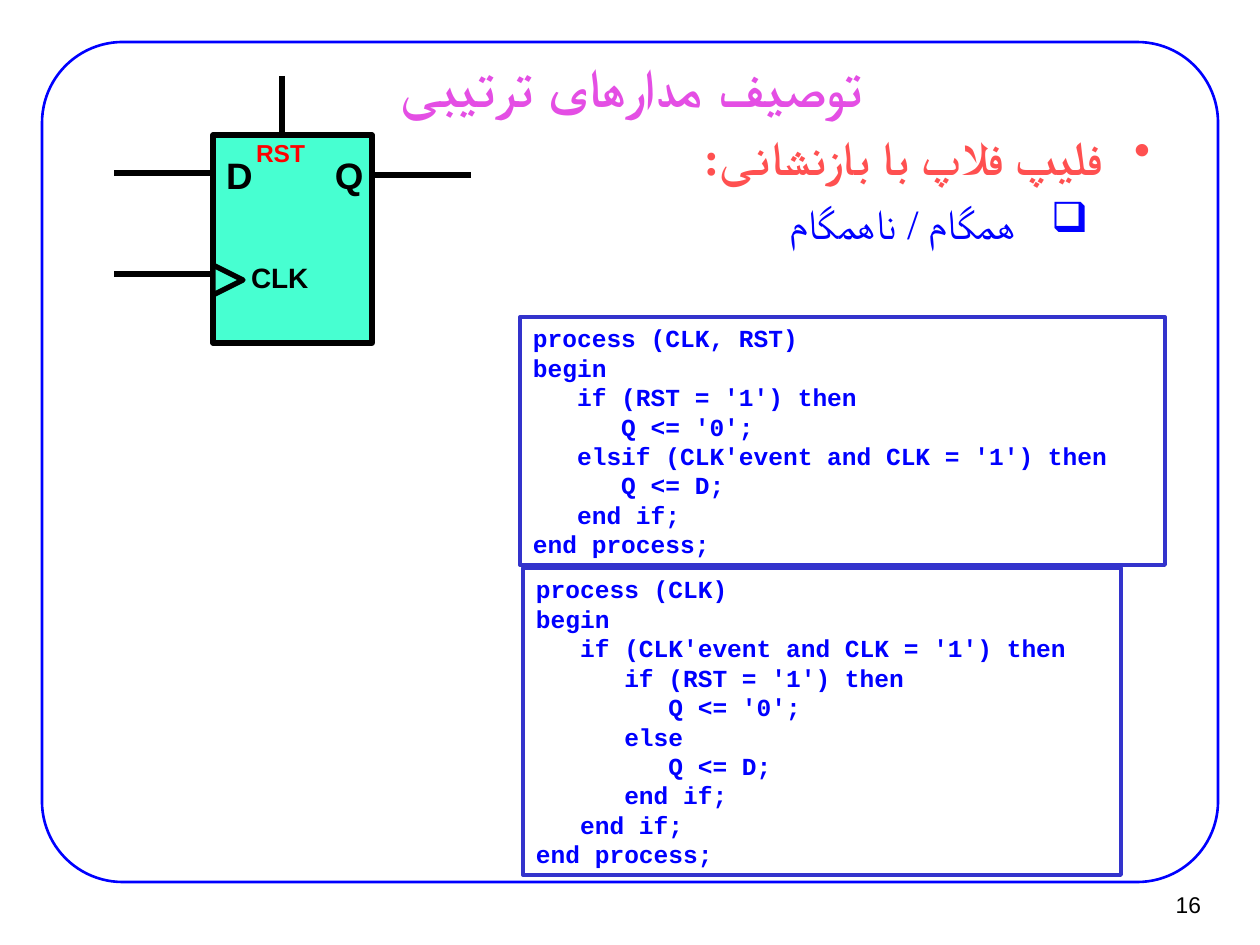
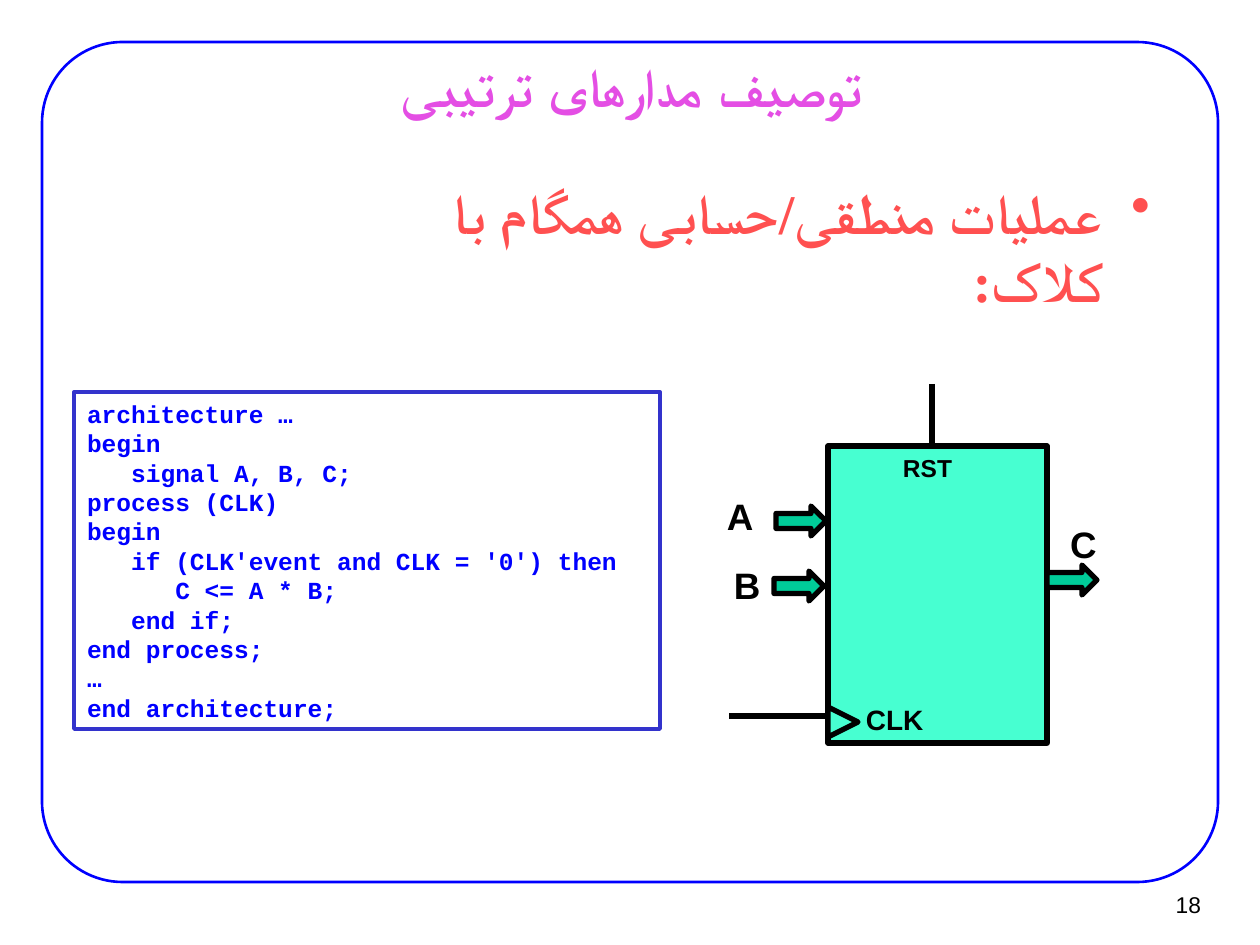
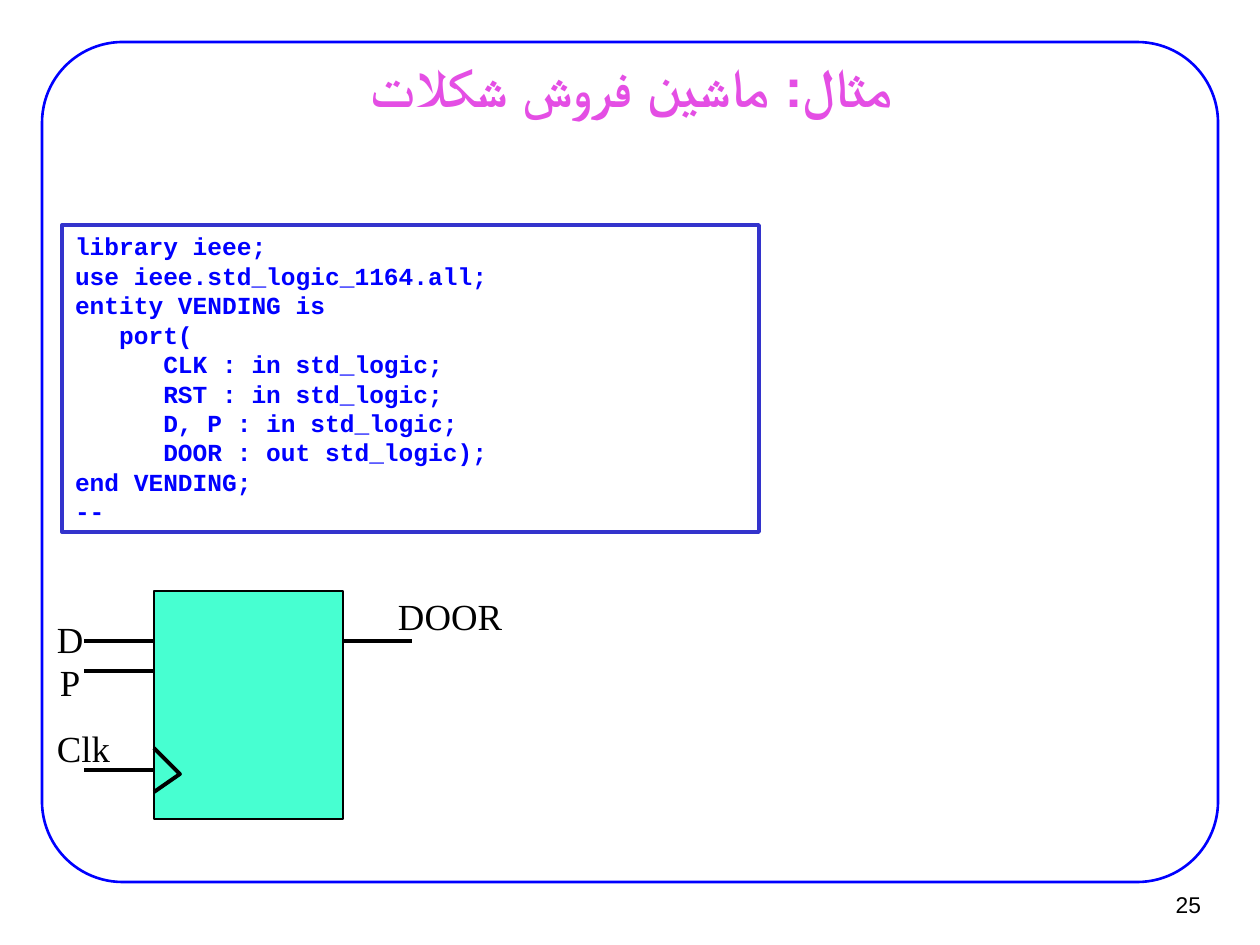
from lxml.etree import SubElement
from pptx import Presentation
from pptx.dml.color import RGBColor
from pptx.enum.shapes import MSO_CONNECTOR, MSO_SHAPE as SHAPE
from pptx.enum.text import MSO_ANCHOR as ANCHOR, MSO_AUTO_SIZE, PP_ALIGN as ALIGN
from pptx.oxml.ns import qn
from pptx.util import Emu, Pt

# Shared style
SCALE = 914400 / 126
BLACK = RGBColor(0x00, 0x00, 0x00)
WHITE = RGBColor(0xFF, 0xFF, 0xFF)
BLUE = RGBColor(0x00, 0x00, 0xFF)
RED = RGBColor(0xFF, 0x00, 0x00)
CORAL = RGBColor(0xFF, 0x50, 0x50)
PINK = RGBColor(0xE4, 0x4E, 0xE4)
INDIGO = RGBColor(0x33, 0x33, 0xCC)
AQUA = RGBColor(0x47, 0xFF, 0xD1)
GREEN = RGBColor(0x00, 0xCC, 0x99)
SANS, SERIF, MONO = "Arial", "Times New Roman", "Courier New"

SEQUENTIAL = "توصیف مدارهای ترتیبی"

ASYNC_RESET = """process (CLK, RST)
begin
   if (RST = '1') then
      Q <= '0';
   elsif (CLK'event and CLK = '1') then
      Q <= D;
   end if;
end process;"""

SYNC_RESET = """process (CLK)
begin
   if (CLK'event and CLK = '1') then
      if (RST = '1') then
         Q <= '0';
      else
         Q <= D;
      end if;
   end if;
end process;"""

MULTIPLIER = """architecture …
begin
   signal A, B, C;
process (CLK)
begin
   if (CLK'event and CLK = '0') then
      C <= A * B;
   end if;
end process;
…
end architecture;"""

VENDING = """library ieee;
use ieee.std_logic_1164.all;
entity VENDING is
   port(
      CLK : in std_logic;
      RST : in std_logic;
      D, P : in std_logic;
      DOOR : out std_logic);
end VENDING;
--"""


def px(length):
    return Emu(round(length * SCALE))


def apply(target, formats):
    for name, value in formats.items():
        setattr(target, name, value)


class Slides:
    """Holds the deck, its style and the current slide."""

    def __init__(self):
        self.deck = Presentation()
        apply(self.deck, {"slide_width": px(1260), "slide_height": px(945)})
        self.page = None

    def new_page(self, title, number):
        self.page = self.deck.slides.add_slide(self.deck.slide_layouts[6])
        frame = self.shape(SHAPE.ROUNDED_RECTANGLE, (42, 42, 1176, 840), None, BLUE, 1.5)
        frame.adjustments[0] = 0.096
        box = self.text_box((96, 55, 1071, 62), 14, 8, ANCHOR.MIDDLE)
        para = box.paragraphs[0]
        para.alignment = ALIGN.CENTER
        para._p.get_or_add_pPr().set("rtl", "1")
        self.span(para, title, 31, PINK, bold=True, complex_font=SANS)
        box = self.text_box((1136, 881, 77, 47), 12, 6, ANCHOR.MIDDLE)
        box.paragraphs[0].alignment = ALIGN.RIGHT
        self.span(box.paragraphs[0], str(number), 13, BLACK)

    def shape(self, kind, place, fill, line, width):
        shape = self.page.shapes.add_shape(kind, *map(px, place))
        self.outline(shape, fill, line, width)
        return shape

    def outline(self, shape, fill, line, width):
        shape.shadow.inherit = False
        if fill is None:
            shape.fill.background()
        else:
            shape.fill.solid()
            shape.fill.fore_color.rgb = fill
        shape.line.color.rgb = line
        shape.line.width = Pt(width)

    def frame_text(self, shape, side, top, anchor):
        box = shape.text_frame
        apply(box, {
            "word_wrap": True, "auto_size": MSO_AUTO_SIZE.NONE, "vertical_anchor": anchor,
            "margin_left": px(side), "margin_right": px(side),
            "margin_top": px(top), "margin_bottom": px(top),
        })
        return box

    def text_box(self, place, side=13, top=6, anchor=ANCHOR.TOP):
        return self.frame_text(self.page.shapes.add_textbox(*map(px, place)), side, top, anchor)

    def span(self, para, text, size, color, font=SANS, bold=False, complex_font=None):
        span = para.add_run()
        span.text = text
        apply(span.font, {"name": font, "size": Pt(size), "bold": bold})
        span.font.color.rgb = color
        if complex_font:
            SubElement(span._r.get_or_add_rPr(), qn("a:cs")).set("typeface", complex_font)

    def label(self, text, place, size=21, color=BLACK, font=SANS, bold=True):
        box = self.text_box(place)
        self.span(box.paragraphs[0], text, size, color, font, bold)

    def bullets(self, place, items):
        """Right-to-left list; an item is text, size, colour, bold, level."""
        box = self.text_box(place, 14, 8)
        levels = [("•", 48, 48), ("❑", 136, 73)]
        for index, (text, size, color, bold, level) in enumerate(items):
            para = box.add_paragraph() if index else box.paragraphs[0]
            mark, margin, hanging = levels[level]
            apply(para, {"alignment": ALIGN.RIGHT, "level": level})
            if index:
                para.space_before = Pt(7)
            props = para._p.get_or_add_pPr()
            for name, value in {"marL": px(margin), "indent": -px(hanging), "rtl": 1}.items():
                props.set(name, str(int(value)))
            tint = SubElement(props, qn("a:buClr"))
            SubElement(tint, qn("a:srgbClr")).set("val", str(color))
            SubElement(props, qn("a:buChar")).set("char", mark)
            self.span(para, text, size, color, bold=bold, complex_font=SERIF)

    def code(self, text, place, fill=None):
        shape = self.shape(SHAPE.RECTANGLE, place, fill, INDIGO, 2.25)
        box = self.frame_text(shape, 13, 6, ANCHOR.MIDDLE)
        for index, line in enumerate(text.split("\n")):
            para = box.add_paragraph() if index else box.paragraphs[0]
            apply(para, {"alignment": ALIGN.LEFT, "line_spacing": Pt(16.8)})
            self.span(para, line, 14, BLUE, MONO, True)

    def wire(self, start, end, width=3):
        wire = self.page.shapes.add_connector(
            MSO_CONNECTOR.STRAIGHT, *map(px, (*start, *end)))
        wire.line.color.rgb = BLACK
        wire.line.width = Pt(width)
        SubElement(wire._element.spPr, qn("a:effectLst"))

    def clocked_block(self, place, clock_top):
        """Block with a clock triangle and its CLK label on the left side."""
        left = place[0]
        self.shape(SHAPE.RECTANGLE, place, AQUA, BLACK, 3)
        clock = self.shape(SHAPE.ISOSCELES_TRIANGLE, (left, clock_top, 30, 30), AQUA, BLACK, 3)
        clock.rotation = 90
        self.label("CLK", (left + 25, clock_top - 10, 84, 47), 16)

    def open_outline(self, points, width):
        builder = self.page.shapes.build_freeform(*points[0], scale=SCALE)
        builder.add_line_segments(points[1:], close=False)
        self.outline(builder.convert_to_shape(), None, BLACK, width)


def flip_flop_slide(slides):
    slides.new_page(SEQUENTIAL, 16)
    slides.bullets((541, 120, 624, 192), [
        ("فلیپ فلاپ با بازنشانی:", 27.2, CORAL, True, 0),
        ("همگام / ناهمگام", 23.8, BLUE, False, 1),
    ])
    slides.code(ASYNC_RESET, (520, 317, 645, 248), WHITE)
    slides.code(SYNC_RESET, (523, 568, 598, 307))

    # Flip-flop with reset
    slides.clocked_block((213, 135, 159, 208), 265)
    for start, end in [((213, 173), (114, 173)), ((213, 274), (114, 274)),
                       ((471, 175), (372, 175)), ((282, 76), (282, 135))]:
        slides.wire(start, end)
    slides.label("D", (213, 147, 44, 57))
    slides.label("Q", (322, 147, 44, 57))
    slides.label("RST", (243, 132, 84, 43), 14, RED)


def multiplier_slide(slides):
    slides.new_page(SEQUENTIAL, 18)
    slides.bullets((322, 171, 843, 192), [
        ("عملیات منطقی/حسابی همگام با کلاک:", 32, CORAL, True, 0),
    ])
    slides.code(MULTIPLIER, (74, 392, 586, 337))

    # Clocked multiplier
    slides.clocked_block((828, 446, 219, 297), 707)
    slides.wire((828, 716), (729, 716))
    slides.wire((932, 384), (932, 444))
    slides.label("RST", (890, 447, 84, 43), 14)
    for name, left, top in [("A", 714, 488), ("B", 721, 557), ("C", 1057, 516)]:
        slides.label(name, (left, top, 44, 57))
    for left, top in [(776, 506), (774, 571), (1047, 565)]:
        slides.shape(SHAPE.RIGHT_ARROW, (left, top, 50, 30), GREEN, BLACK, 3)


def vending_slide(slides):
    slides.new_page("مثال: ماشین فروش شکلات", 25)
    slides.code(VENDING, (62, 225, 697, 307))

    # Vending machine block
    slides.shape(SHAPE.RECTANGLE, (154, 591, 189, 228), AQUA, BLACK, 1.5)
    for right, top in [(154, 641), (154, 671), (154, 770), (412, 641)]:
        slides.wire((right, top), (right - 70, top), 2.25)
    slides.open_outline([(154, 748), (180, 774), (154, 792)], 2.25)
    for name, left, top, width in [("D", 44, 611, 39), ("P", 47, 654, 40),
                                   ("Clk", 44, 720, 82), ("DOOR", 385, 588, 146)]:
        slides.label(name, (left, top, width, 57), font=SERIF, bold=False)


def main():
    slides = Slides()
    flip_flop_slide(slides)
    multiplier_slide(slides)
    vending_slide(slides)
    slides.deck.save("out.pptx")


if __name__ == "__main__":
    main()
